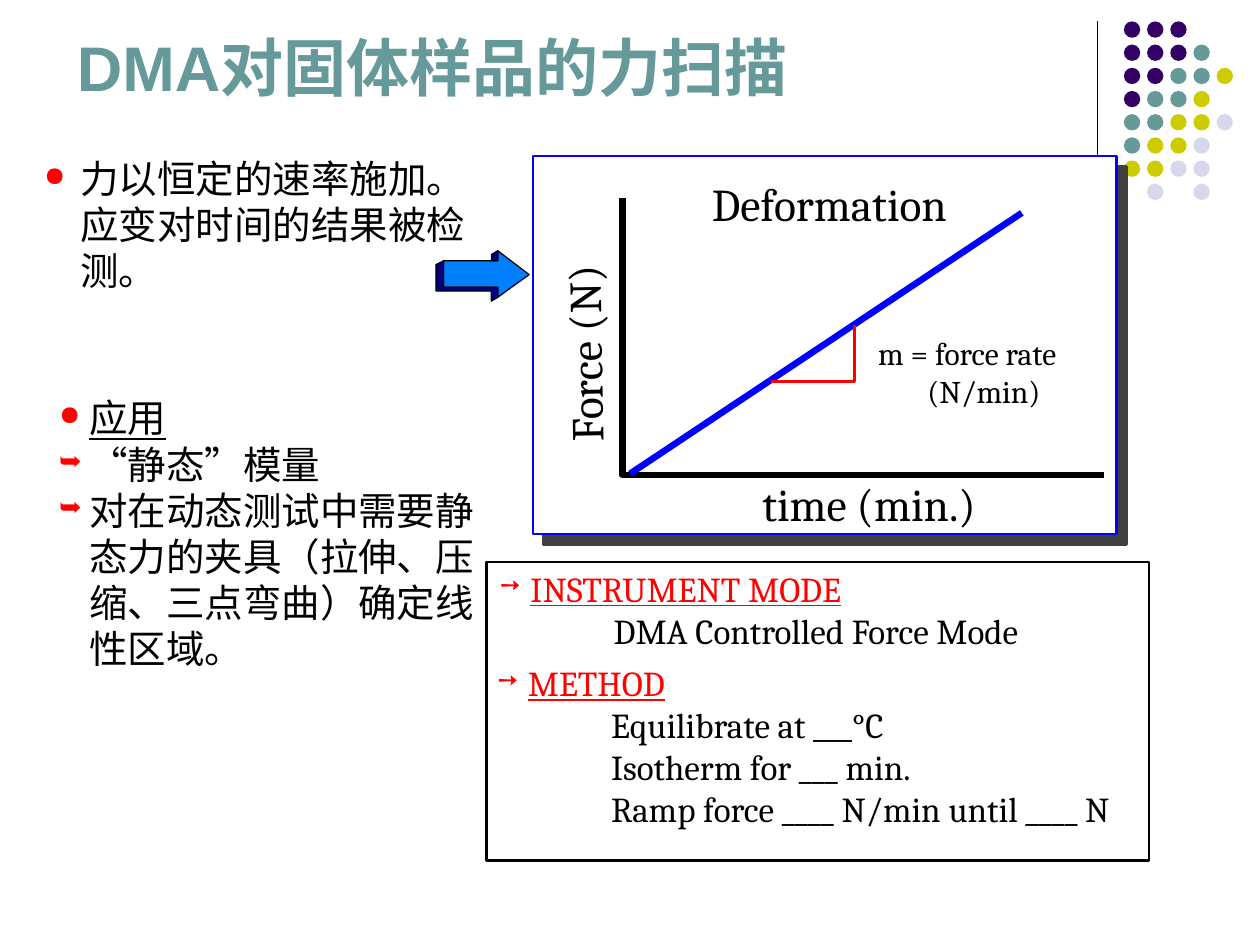
from collections import namedtuple

from lxml import etree
from pptx import Presentation
from pptx.dml.color import RGBColor
from pptx.enum.shapes import MSO_CONNECTOR as Connector, MSO_SHAPE as Shape
from pptx.enum.text import MSO_ANCHOR as Anchor
from pptx.oxml.ns import qn
from pptx.util import Inches, Pt

Box = namedtuple("Box", "left top width height")

BLACK, WHITE, RED, BLUE = "000000", "FFFFFF", "FF0000", "0000FF"
NAVY, SKY, TEAL, SHADOW = "000080", "0080FF", "669999", "404040"
DOT_COLORS = {"P": "330066", "T": TEAL, "Y": "CCCC00", "L": "D8D8EC"}
DOT_ROWS = ["PPP", "PPPT", "PPTTY", "PTTY", "TTYYL", "TYYL", "YYLL", ".L.L"]
BULLET_INDENT = 0.24


def color(hex_code):
    return RGBColor.from_string(hex_code)


def inches(*values):
    return [Inches(value) for value in values]


def inside(box, left, top, width, height):
    return Box(box.left + left, box.top + top, width, height)


def add_element(parent, tag, **attributes):
    return etree.SubElement(parent, qn(tag), attributes)


def paint(shape, fill, line, width):
    shape.shadow.inherit = False
    if fill:
        shape.fill.solid()
        shape.fill.fore_color.rgb = color(fill)
    else:
        shape.fill.background()
    if line:
        shape.line.color.rgb = color(line)
        shape.line.width = Pt(width)
    else:
        shape.line.fill.background()


def add_panel(page, box, line):
    panel = page.shapes.add_shape(Shape.ROUNDED_RECTANGLE, *inches(*box))
    panel.adjustments[0] = 0
    paint(panel, WHITE, line, 1.47)
    return panel


def add_outline(page, box, points, fill, line, width, close):
    corners = [inches(box.left + x, box.top + y) for x, y in points]
    builder = page.shapes.build_freeform(*corners[0])
    builder.add_line_segments(corners[1:], close=close)
    paint(builder.convert_to_shape(), fill, line, width)


def add_line(page, start, end, line, width):
    connector = page.shapes.add_connector(
        Connector.STRAIGHT, *inches(*start, *end))
    connector.line.color.rgb = color(line)
    connector.line.width = Pt(width)
    add_element(connector._element.spPr, "a:effectLst")


def add_text(page, box, anchor=Anchor.TOP):
    text_box = page.shapes.add_textbox(*inches(*box))
    frame = text_box.text_frame
    frame.word_wrap = True
    frame.vertical_anchor = anchor
    frame.margin_left = frame.margin_right = 0
    frame.margin_top = frame.margin_bottom = 0
    return text_box


def next_paragraph(frame):
    first = frame.paragraphs[0]
    return frame.add_paragraph() if first.runs else first


def add_paragraph(frame, text, size, ink=BLACK, bullet=None, margin=0,
                  indent=0, font="Cambria", underline=False, bold=False):
    para = next_paragraph(frame)
    properties = para._p.get_or_add_pPr()
    properties.set("marL", str(Inches(margin)))
    properties.set("indent", str(Inches(indent)))
    if bullet:
        bullet_color = add_element(properties, "a:buClr")
        add_element(bullet_color, "a:srgbClr", val=RED)
        add_element(properties, "a:buSzPct", val="70000")
        add_element(properties, "a:buChar", char=bullet)
    else:
        add_element(properties, "a:buNone")
    span = para.add_run()
    span.text = text
    span.font.size = Pt(size)
    span.font.name = font
    span.font.color.rgb = color(ink)
    span.font.underline = underline
    span.font.bold = bold


def add_bullet(frame, text, size, bullet, margin=BULLET_INDENT, **style):
    add_paragraph(frame, text, size, bullet=bullet, margin=margin,
                  indent=-margin, **style)


def draw_decoration(page, box):
    # Vertical rule and the dot grid to its right
    add_line(page, (box.left, box.top), (box.left, 1.83), BLACK, 0.75)
    pitch, diameter = box.width / 5, 0.13
    for row, codes in enumerate(DOT_ROWS):
        for column, code in enumerate(codes):
            if code in DOT_COLORS:
                place = inside(box, 0.21 + column * pitch, row * pitch,
                               diameter, diameter)
                dot = page.shapes.add_shape(Shape.OVAL, *inches(*place))
                paint(dot, DOT_COLORS[code], None, 0)


def draw_title(page, box):
    frame = add_text(page, box, Anchor.BOTTOM).text_frame
    add_paragraph(frame, "DMA对固体样品的力扫描", 36, TEAL, font="Arial", bold=True)


def draw_introduction(page, box):
    frame = add_text(page, box).text_frame
    add_bullet(frame, "力以恒定的速率施加。应变对时间的结果被检测。", 22, "●", 0.29)


def draw_applications(page, box):
    frame = add_text(page, box).text_frame
    add_bullet(frame, "应用", 22, "●", underline=True)
    for text in ("“静态”模量",
                 "对在动态测试中需要静态力的夹具（拉伸、压缩、三点弯曲）确定线性区域。"):
        add_bullet(frame, text, 22, "➥")


def draw_force_plot(page, box):
    # Panel with a hard offset shadow
    panel = add_panel(page, box, BLUE)
    effects = panel._element.spPr.find(qn("a:effectLst"))
    shadow = add_element(effects, "a:outerShdw", blurRad="0", dist=str(Pt(8.1)),
                         dir="2700000", algn="tl", rotWithShape="0")
    add_element(shadow, "a:srgbClr", val=SHADOW)

    # Axes, force ramp and slope marker
    add_outline(page, box, [(0.71, 0.33), (0.71, 2.53), (4.53, 2.53)],
                None, BLACK, 3.75, False)
    add_line(page, (box.left + 0.77, box.top + 2.52),
             (box.left + 3.88, box.top + 0.45), BLUE, 3.75)

    # Labels
    force = add_text(page, inside(box, -0.41, 1.25, 1.61, 0.42))
    force.rotation = 269
    add_paragraph(force.text_frame, "Force (N)", 26)
    time = add_text(page, inside(box, 1.82, 2.54, 1.99, 0.88))
    add_paragraph(time.text_frame, "time (min.)", 26)
    rate = add_text(page, inside(box, 2.74, 1.41, 1.8, 0.99)).text_frame
    add_paragraph(rate, "m = force rate", 18)
    add_paragraph(rate, "(N/min)", 18, margin=0.39)
    add_outline(page, box, [(1.89, 1.79), (2.55, 1.79), (2.55, 1.34)],
                None, RED, 1.47, False)
    heading = add_text(page, inside(box, 1.42, 0.16, 2.03, 0.42))
    add_paragraph(heading.text_frame, "Deformation", 26)


def draw_procedure(page, box):
    add_panel(page, box, BLACK)
    sections = [
        (inside(box, 0.11, 0.04, 4.52, 1.02), "INSTRUMENT MODE",
         ["DMA Controlled Force Mode"]),
        (inside(box, 0.09, 0.79, 5.55, 1.67), "METHOD",
         ["Equilibrate at ___°C", "Isotherm for ___ min.",
          "Ramp force ____ N/min until ____ N"]),
    ]
    for place, heading, steps in sections:
        frame = add_text(page, place).text_frame
        add_bullet(frame, heading, 20, "➙", ink=RED, underline=True)
        for step in steps:
            add_paragraph(frame, step, 20, margin=0.85, indent=0.05)


def draw_arrow(page, box):
    # Front face, then the two shaded side faces
    front = [(0.06, 0.08), (0.49, 0.08), (0.49, 0), (0.74, 0.19),
             (0.49, 0.37), (0.49, 0.29), (0.06, 0.29)]
    lower = [(0, 0.11), (0.06, 0.08), (0.06, 0.29), (0.49, 0.29),
             (0.49, 0.37), (0.44, 0.4), (0.44, 0.32), (0, 0.32)]
    upper = [(0.49, 0), (0.49, 0.08), (0.44, 0.08), (0.44, 0.03)]
    for points, fill in ((front, SKY), (lower, NAVY), (upper, NAVY)):
        add_outline(page, box, points, fill, BLACK, 0.71, True)


def main():
    deck = Presentation()
    deck.slide_width, deck.slide_height = inches(10, 7.5)
    page = deck.slides.add_slide(deck.slide_layouts[6])
    draw_decoration(page, Box(8.71, 0.17, 0.92, 1.42))
    draw_title(page, Box(0.61, 0.08, 8.89, 0.75))
    draw_introduction(page, Box(0.35, 1.23, 3.47, 1.79))
    draw_force_plot(page, Box(4.23, 1.24, 4.63, 3))
    draw_procedure(page, Box(3.86, 4.46, 5.26, 2.37))
    draw_applications(page, Box(0.47, 3.13, 3.47, 3.31))
    draw_arrow(page, Box(3.46, 1.99, 0.74, 0.4))
    deck.save("out.pptx")


if __name__ == "__main__":
    main()
